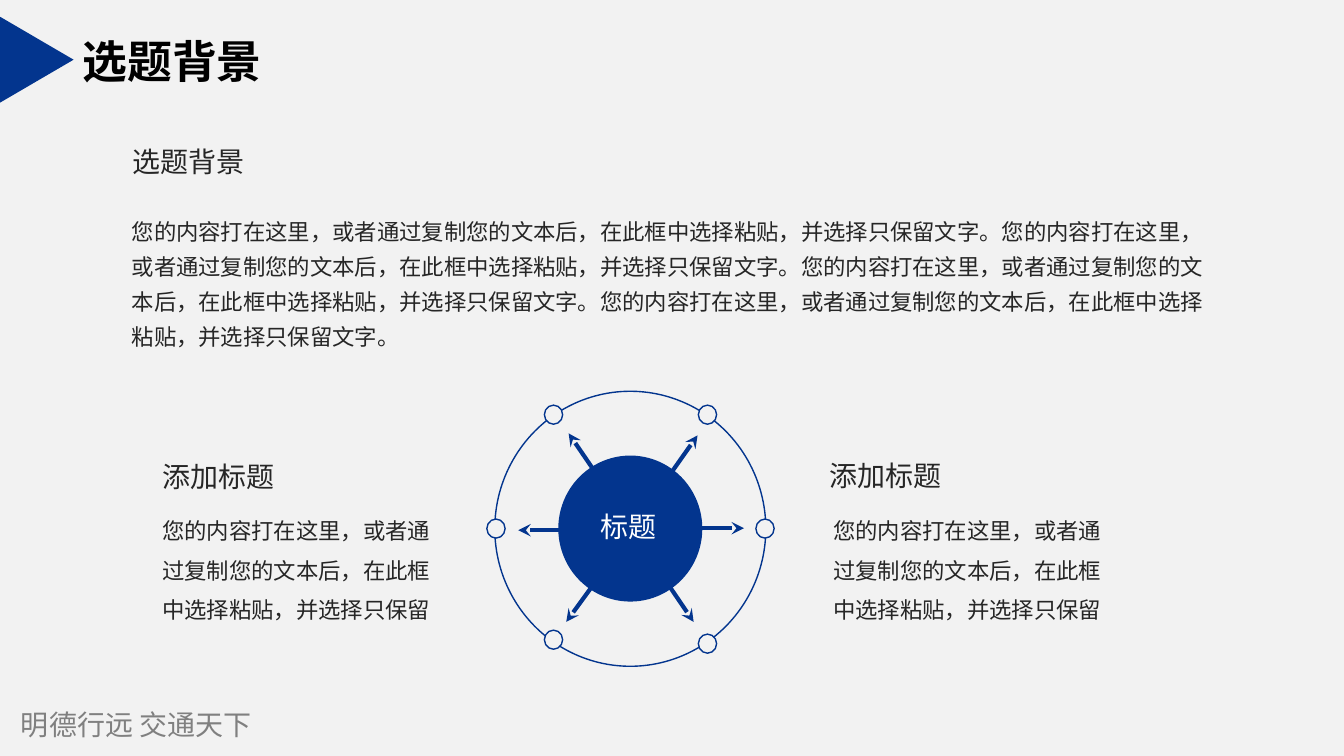
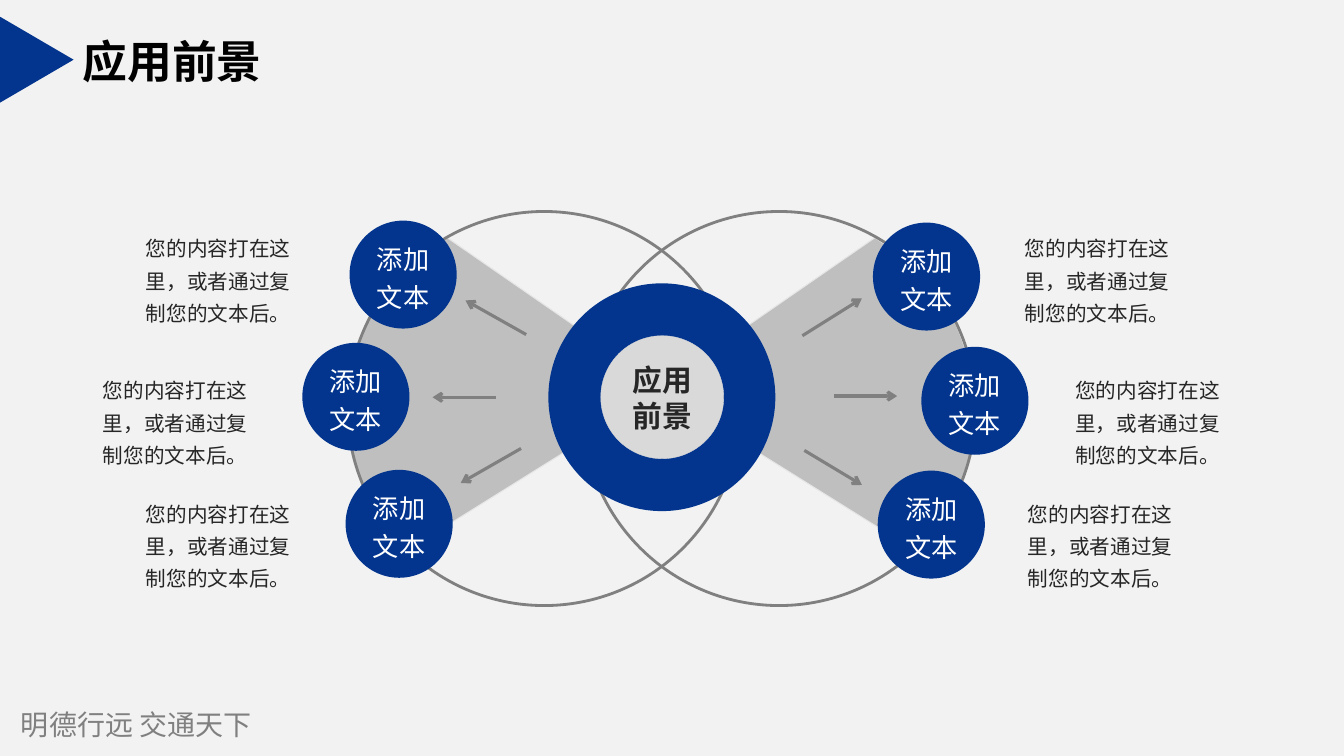
import pptx
import pptx.util
import pptx.dml.color
import pptx.enum.shapes
import pptx.enum.text
import pptx.oxml.ns
import lxml.etree

Cm, Pt = pptx.util.Cm, pptx.util.Pt
SHAPE = pptx.enum.shapes.MSO_SHAPE
ALIGN = pptx.enum.text.PP_ALIGN
ANCHOR = pptx.enum.text.MSO_ANCHOR

COLORS = {"paper": "F2F2F2", "blue": "03358E", "ink": "262626", "black": "000000",
          "white": "FFFFFF", "gray": "808080", "wing": "BFBFBF", "wing_edge": "E6E6E6",
          "center": "D9D9D9", "center_edge": "D7D7D7"}
CJK = "Noto Sans CJK SC"
SENTENCE = "您的内容打在这里，或者通过复制您的文本后，在此框中选择粘贴，并选择只保留文字。"


def color(name):
    return pptx.dml.color.RGBColor.from_string(COLORS[name])


def write(frame, text, size=16, ink="ink", font=CJK, bold=False, align=ALIGN.LEFT,
          spacing=None, anchor=ANCHOR.TOP, wrap=True, inset=(0.25, 0.13)):
    """Fill a text frame with one formatted paragraph."""
    frame.word_wrap = wrap
    frame.vertical_anchor = anchor
    frame.margin_left = frame.margin_right = Cm(inset[0])
    frame.margin_top = frame.margin_bottom = Cm(inset[1])
    para = frame.paragraphs[0]
    para.alignment = align
    if spacing:
        para.line_spacing = spacing
    span = para.add_run()
    span.text = text
    span.font.size, span.font.bold, span.font.name = Pt(size), bold, font
    span.font.color.rgb = color(ink)
    east = lxml.etree.SubElement(span.font._element, pptx.oxml.ns.qn("a:ea"))
    east.set("typeface", CJK)


def curve(start, first, second, end, steps=12):
    """Points of a cubic curve, without its start."""
    for step in range(1, steps + 1):
        t = step / steps
        weights = ((1 - t) ** 3, 3 * t * (1 - t) ** 2, 3 * t * t * (1 - t), t ** 3)
        yield tuple(sum(weight * point[axis] for weight, point
                        in zip(weights, (start, first, second, end))) for axis in (0, 1))


class Pages:
    """The shared style and the slide being drawn."""

    def __init__(self):
        self.deck = pptx.Presentation()
        self.deck.slide_width, self.deck.slide_height = Cm(33.87), Cm(19.05)
        backdrop = self.deck.slide_master.background.fill
        backdrop.solid()
        backdrop.fore_color.rgb = color("paper")
        self.page = None

    def start(self, title):
        self.page = self.deck.slides.add_slide(self.deck.slide_layouts[6])
        self.text("明德行远 交通天下", 0.28, 17.7, 10, 1.12, size=20, ink="gray",
                  font="Noto Sans CJK JP")
        self.text(title, 1.75, 0.66, 5.23, 1.7, size=32, ink="black", bold=True,
                  wrap=False, inset=(0.33, 0.18))
        marker = self.shape(SHAPE.ISOSCELES_TRIANGLE, -0.15, 0.58, 2.16, 1.85, fill="blue")
        marker.rotation = 90

    def text(self, text, left, top, width, height, **style):
        box = self.page.shapes.add_textbox(Cm(left), Cm(top), Cm(width), Cm(height))
        write(box.text_frame, text, **style)

    def paint(self, shape, fill=None, line=None, weight=1):
        shape.shadow.inherit = False
        if fill:
            shape.fill.solid()
            shape.fill.fore_color.rgb = color(fill)
        else:
            shape.fill.background()
        if line:
            shape.line.color.rgb = color(line)
            shape.line.width = Pt(weight)
        else:
            shape.line.fill.background()

    def shape(self, kind, left, top, width, height, **look):
        shape = self.page.shapes.add_shape(kind, Cm(left), Cm(top), Cm(width), Cm(height))
        self.paint(shape, **look)
        return shape

    def circle(self, left, top, width, height, **look):
        return self.shape(SHAPE.OVAL, left, top, width, height, **look)

    def outline(self, points, **look):
        points = [(Cm(x), Cm(y)) for x, y in points]
        builder = self.page.shapes.build_freeform(*points[0])
        builder.add_line_segments(points[1:], close=True)
        self.paint(builder.convert_to_shape(), **look)

    def arrow(self, start, end, line, weight, head):
        connector = self.page.shapes.add_connector(
            pptx.enum.shapes.MSO_CONNECTOR.STRAIGHT, *(Cm(n) for n in (*start, *end)))
        connector.line.color.rgb = color(line)
        connector.line.width = Pt(weight)
        qn = pptx.oxml.ns.qn
        lxml.etree.SubElement(connector.line._get_or_add_ln(), qn("a:tailEnd")).set("type", head)
        lxml.etree.SubElement(connector._element.spPr, qn("a:effectLst"))


def background_page(pages):
    pages.start("选题背景")

    # Ring with its dots
    pages.circle(12.47, 9.86, 6.83, 6.93, line="blue")
    for left, top in ((17.6, 10.21), (13.72, 10.21), (12.27, 13.08),
                      (19.05, 13.08), (17.6, 15.98), (13.72, 15.88)):
        pages.circle(left, top, 0.46, 0.48, fill="paper", line="blue")

    # Arrows leaving the core
    for start_y, tip in ((13.31, (17.58, 10.97)), (13.31, (18.75, 13.31)),
                         (13.26, (14.33, 10.92)), (13.36, (13.06, 13.36)),
                         (13.39, (14.27, 15.67)), (13.39, (17.48, 15.67))):
        pages.arrow((15.93, start_y), tip, "blue", 3, "stealth")
    pages.circle(14.07, 11.48, 3.63, 3.68, fill="blue")
    pages.text("标题", 14.88, 12.7, 2.16, 1.12, size=20, ink="white", wrap=False)

    # Introduction
    pages.text("选题背景", 3.1, 3.51, 3.35, 1.12, size=20, wrap=False)
    pages.text(SENTENCE * 4, 3.07, 5.16, 27.76, 4.62, spacing=1.3)

    # Side notes
    for heading_left, heading_top, note_left in ((20.65, 11.43, 20.75), (3.84, 11.46, 3.84)):
        pages.text("添加标题", heading_left, heading_top, 3.35, 1.12, size=20, wrap=False)
        pages.text(SENTENCE[:-3], note_left, 12.6, 7.59, 3.12, spacing=Pt(28))


def outlook_page(pages):
    pages.start("应用前景")

    # Wings, mirrored about the middle of the diagram
    shoulder, tip = (23.88, 7.8), (24.56, 10.24)
    upper, hub, lower = (22.05, 5.99), (16.54, 9.8), (23.06, 13.87)
    right_wing = [shoulder, *curve(shoulder, (23.09, 6.73), (23.27, 6.81), upper), hub, lower,
                  *curve(lower, (24.66, 11.94), (24.49, 11.25), tip),
                  *curve(tip, (24.51, 9.4), (24.33, 8.51), shoulder)]
    left_wing = [(33.32 - x, y) for x, y in right_wing]
    for wing in (right_wing, left_wing):
        pages.outline(wing, fill="wing", line="wing_edge", weight=0.75)

    # Overlapping rings and arrows
    for left in (8.76, 14.68):
        pages.circle(left, 5.33, 9.91, 9.93, line="gray", weight=2)
    for start, end in (((13.26, 8.43), (11.73, 7.57)), ((12.5, 10.01), (10.9, 10.01)),
                       ((13.13, 11.3), (11.61, 12.17)), ((20.27, 11.35), (21.72, 12.22)),
                       ((21.01, 9.98), (22.61, 9.98)), ((20.22, 8.46), (21.72, 7.52))):
        pages.arrow(start, end, "gray", 2.25, "arrow")

    # Center
    pages.circle(13.82, 7.14, 5.72, 5.74, fill="blue")
    center = pages.circle(15.14, 8.46, 3.1, 3.1, fill="center", line="center_edge", weight=0.25)
    write(center.text_frame, "应用前景", size=21.3, font="Arial Narrow", bold=True,
          align=ALIGN.CENTER, anchor=ANCHOR.MIDDLE)

    # Nodes, each with its note
    for node, note in (((8.81, 5.56), (3.43, 5.64)), ((22, 5.61), (25.58, 5.64)),
                       ((7.62, 8.64), (2.34, 9.22)), ((23.22, 8.74), (26.85, 9.22)),
                       ((8.71, 11.84), (3.43, 12.32)), ((22.12, 11.86), (25.65, 12.32))):
        disc = pages.circle(*node, 2.7, 2.72, fill="blue")
        write(disc.text_frame, "添加文本", size=18.7, ink="white", font="Arial",
              align=ALIGN.CENTER, anchor=ANCHOR.MIDDLE, spacing=1.2)
        pages.text("您的内容打在这里，或者通过复制您的文本后。", *note, 4.45, 2.62,
                   size=14.7, spacing=1.3)


def main():
    pages = Pages()
    background_page(pages)
    outlook_page(pages)
    pages.deck.save("out.pptx")


if __name__ == "__main__":
    main()
